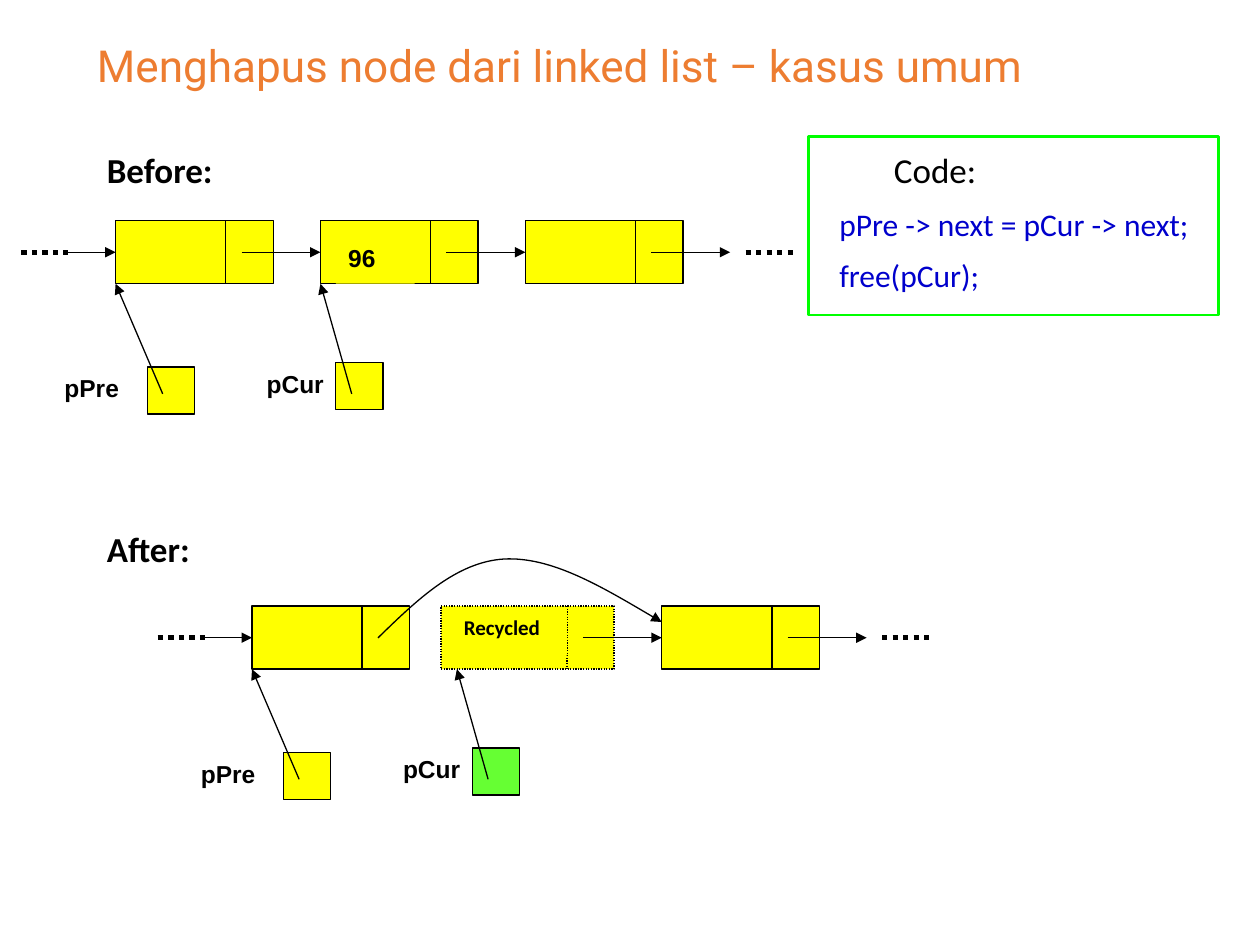
import pptx
import pptx.dml.color
import pptx.enum.dml
import pptx.enum.shapes
import pptx.enum.text
import pptx.oxml
import pptx.oxml.ns
import pptx.util

Cm, Pt = pptx.util.Cm, pptx.util.Pt
ALIGN = pptx.enum.text.PP_ALIGN
ANCHOR = pptx.enum.text.MSO_ANCHOR
DOTTED = pptx.enum.dml.MSO_LINE.ROUND_DOT
RECTANGLE = pptx.enum.shapes.MSO_SHAPE.RECTANGLE
STRAIGHT = pptx.enum.shapes.MSO_CONNECTOR.STRAIGHT

TITLE = "Menghapus node dari linked list – kasus umum"
HEADINGS = ["Before:", "After:"]
CODE = [("Code:", 20, "000000", 1.1), ("pPre -> next = pCur -> next;", 18, "0000CC", 0),
        ("free(pCur);", 18, "0000CC", 0)]
BLACK, YELLOW, GREEN = "000000", "FFFF00", "66FF33"

NODE_W, NODE_H, PITCH, DIVIDER, LINK = 3.18, 1.27, 4.13, 2.22, 2.54
MIDDLE, DASH_W, POINTER = NODE_H / 2, 0.95, 0.95
NODES = [(PITCH * i, NODE_W) for i in range(3)]
POINTERS = [("pPre", 0.64, 2.95, 0.95, 0), ("pCur", 4.44, 2.86, 4.76, PITCH)]
DIAGRAMS = [
    {"origin": (2.33, 4.45), "nodes": NODES, "dotted": None, "pointer_fills": [YELLOW, YELLOW],
     "label": ("96", 4.44, 0.32, 1.59, 14, "Arial"), "bypass": []},
    {"origin": (5.08, 12.22), "nodes": [NODES[0], (3.81, 3.49), NODES[2]], "dotted": 1,
     "pointer_fills": [YELLOW, GREEN],
     "label": ("Recycled", 4.02, 0.05, 2.33, 12, "Calibri"),
     "bypass": [(2.54, 0.64), (3.33, -0.13), (4.12, -0.89), (5.08, -0.95),
                (6.04, -1.0), (7.14, -0.34), (8.26, 0.32)]},
]


def color(value):
    return pptx.dml.color.RGBColor.from_string(value)


def add_xml(parent, tag, **attributes):
    child = pptx.oxml.parse_xml(f"<{tag} {pptx.oxml.ns.nsdecls('a')}/>")
    for name, value in attributes.items():
        child.set(name, value)
    parent.append(child)
    return child


def style_line(shape, value=BLACK, width=0.75, dotted=False, arrow=False):
    shape.line.color.rgb = color(value)
    shape.line.width = Pt(width)
    if dotted:
        shape.line.dash_style = DOTTED
    if arrow:
        outline = shape.element.spPr.find(pptx.oxml.ns.qn("a:ln"))
        add_xml(outline, "a:tailEnd", type="triangle")


def format_text(para, size, font, value=BLACK, bold=False, align=ALIGN.LEFT):
    para.alignment = align
    for span in para.runs:
        span.font.size, span.font.name, span.font.bold = Pt(size), font, bold
        span.font.color.rgb = color(value)


def place(shape, left, top, width, height):
    shape.left, shape.top, shape.width, shape.height = map(Cm, (left, top, width, height))


def add_box(shapes, left, top, width, height, fill=None, line=BLACK, line_width=0.75, dotted=False):
    box = shapes.add_shape(RECTANGLE, Cm(left), Cm(top), Cm(width), Cm(height))
    box.shadow.inherit = False
    if fill:
        box.fill.solid()
        box.fill.fore_color.rgb = color(fill)
    else:
        box.fill.background()
    if line:
        style_line(box, line, line_width, dotted)
    else:
        box.line.fill.background()
    return box


def add_line(shapes, x1, y1, x2, y2, **style):
    connector = shapes.add_connector(STRAIGHT, Cm(x1), Cm(y1), Cm(x2), Cm(y2))
    style_line(connector, **style)
    add_xml(connector.element.spPr, "a:effectLst")


def add_curve(shapes, points):
    start, *rest = [(Cm(x), Cm(y)) for x, y in points]
    builder = shapes.build_freeform(*start)
    builder.add_line_segments(rest, close=False)
    curve = builder.convert_to_shape()
    curve.shadow.inherit = False
    curve.fill.background()
    style_line(curve, arrow=True)
    segments = list(curve.element.iter(pptx.oxml.ns.qn("a:lnTo")))
    outline = segments[0].getparent()
    for first in range(0, len(segments), 3):
        bezier = add_xml(outline, "a:cubicBezTo")
        for segment in segments[first:first + 3]:
            bezier.append(segment[0])
            outline.remove(segment)


def add_diagram(page, diagram):
    shapes = page.shapes.add_group_shape().shapes
    x, y = diagram["origin"]
    middle = y + MIDDLE
    for i, (left, width) in enumerate(diagram["nodes"]):
        dotted = i == diagram["dotted"]
        add_box(shapes, x + left, y, width, NODE_H, YELLOW, dotted=dotted)
        divider = x + PITCH * i + DIVIDER
        add_line(shapes, divider, y, divider, y + NODE_H, dotted=dotted)
    for i in range(len(diagram["nodes"])):
        if i or not diagram["bypass"]:
            add_line(shapes, x + PITCH * i + LINK, middle, x + PITCH * (i + 1), middle, arrow=True)
    for left in (-2 * DASH_W, 12.7):
        add_line(shapes, x + left, middle, x + left + DASH_W, middle, width=3, dotted=True)
    add_line(shapes, x - DASH_W, middle, x, middle, arrow=True)

    text, left, top, width, size, font = diagram["label"]
    label = add_box(shapes, x + left, y + top, width, 0.95, YELLOW, None)
    label.text_frame.text = text
    label.text_frame.vertical_anchor = ANCHOR.TOP
    format_text(label.text_frame.paragraphs[0], size, font, bold=True)

    for (name, left, top, tail, target), fill in zip(POINTERS, diagram["pointer_fills"]):
        add_box(shapes, x + left, y + top, POINTER, POINTER, fill)
        caption = shapes.add_textbox(Cm(x + target - 1.9), Cm(y + top), Cm(2.22), Cm(0.95))
        caption.text_frame.word_wrap = True
        caption.text_frame.text = name
        format_text(caption.text_frame.paragraphs[0], 14, "Arial", bold=True, align=ALIGN.RIGHT)
        add_line(shapes, x + tail, y + 3.49, x + target, y + NODE_H, arrow=True)
    if diagram["bypass"]:
        add_curve(shapes, [(x + dx, y + dy) for dx, dy in diagram["bypass"]])


def main():
    deck = pptx.Presentation()
    deck.slide_width, deck.slide_height = Cm(25.4), Cm(19.05)
    page = deck.slides.add_slide(deck.slide_layouts[1])

    title, body = page.shapes.title, page.placeholders[1]
    place(title, 1.7, 0.43, 21.59, 1.9)
    title.text_frame.text = TITLE
    title.text_frame.vertical_anchor = ANCHOR.MIDDLE
    title.text_frame.auto_size = pptx.enum.text.MSO_AUTO_SIZE.NONE
    title.text_frame.paragraphs[0].line_spacing = 0.9
    format_text(title.text_frame.paragraphs[0], 25.2, "Roboto", "ED7D31")

    place(body, 1.9, 2.97, 23.06, 14.81)
    body.text_frame.text = "\n".join(HEADINGS)
    body.text_frame.auto_size = pptx.enum.text.MSO_AUTO_SIZE.NONE
    for para, gap in zip(body.text_frame.paragraphs, (0, 195)):
        para.line_spacing, para.space_before = 0.9, Pt(gap)
        format_text(para, 20, "Calibri", bold=True)
        properties = para._p.get_or_add_pPr()
        properties.set("marL", "0")
        properties.set("indent", "0")
        add_xml(properties, "a:buNone")

    panel = add_box(page.shapes, 16.3, 2.75, 8.26, 3.6, line="00FF00", line_width=1.5)
    frame = panel.text_frame
    frame.text = "\n".join(row[0] for row in CODE)
    frame.vertical_anchor = ANCHOR.TOP
    frame.margin_left, frame.margin_top = Cm(0.62), Cm(0.35)
    for para, (_, size, value, indent) in zip(frame.paragraphs, CODE):
        para.line_spacing, para.space_before = 0.9, Pt(10)
        format_text(para, size, "Calibri", value)
        para._p.get_or_add_pPr().set("marL", str(Cm(indent)))
    frame.paragraphs[0].space_before = Pt(0)

    for diagram in DIAGRAMS:
        add_diagram(page, diagram)
    deck.save("out.pptx")


if __name__ == "__main__":
    main()
